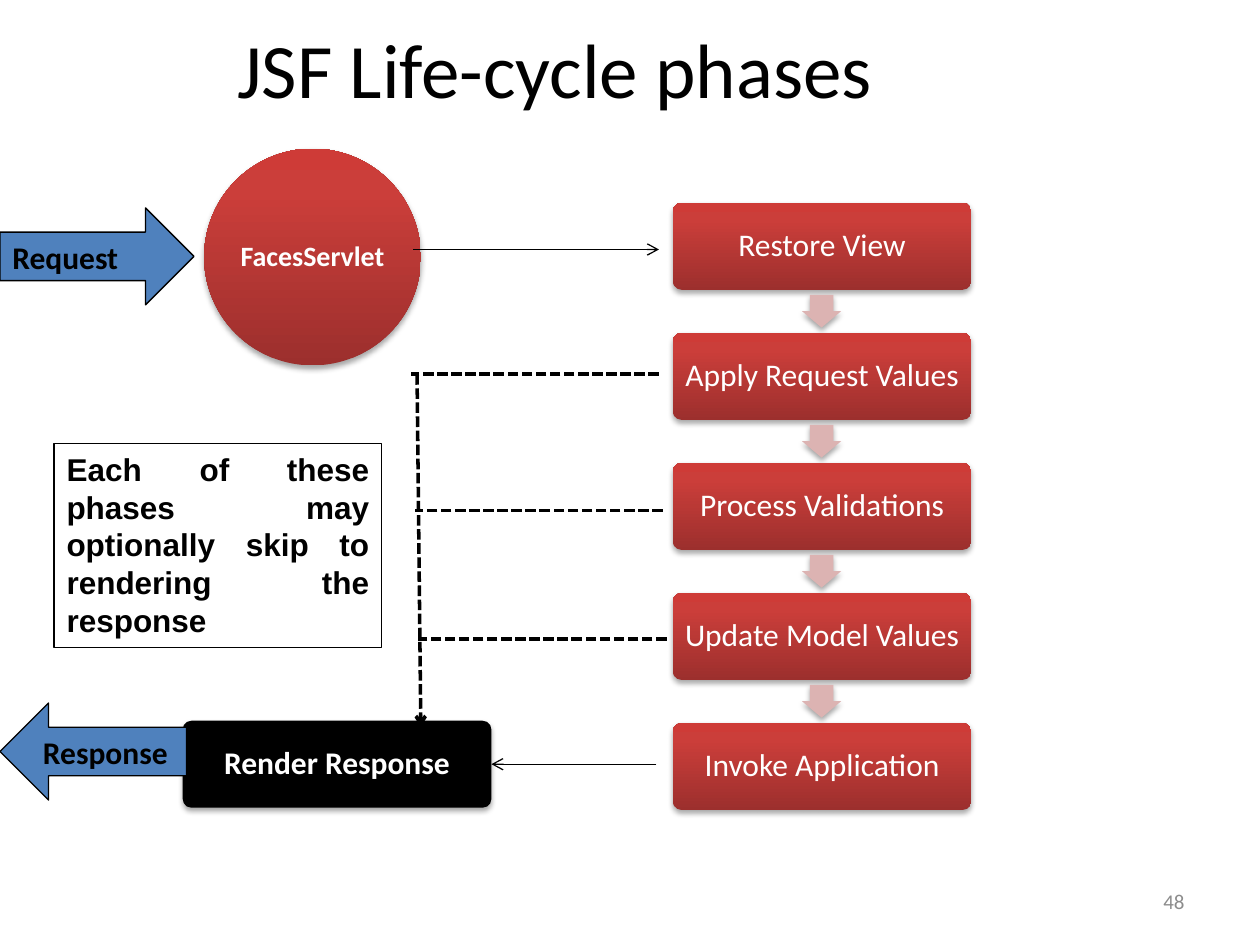
from copy import deepcopy
from lxml.etree import SubElement
from pptx import Presentation
from pptx.dml.color import RGBColor
from pptx.enum.dml import MSO_LINE
from pptx.enum.shapes import MSO_CONNECTOR, MSO_SHAPE
from pptx.enum.text import MSO_ANCHOR, PP_ALIGN
from pptx.oxml.ns import qn
from pptx.util import Inches, Pt

BLACK, WHITE, GRAY = "000000", "FFFFFF", "8C8C8C"
BLUE, PINK = "4F81BD", "DCB3B2"
RED_GRADIENT = ((0, "9C2F2D"), (0.8, "CB3E3A"), (1, "CE3B37"))
COLUMNS, ROWS = 100, 75


def rgb(value):
    return RGBColor.from_string(value)


class Diagram:
    font = "Calibri"
    thin, thick = 0.75, 2

    def __init__(self, deck):
        self.column = deck.slide_width / COLUMNS
        self.row = deck.slide_height / ROWS
        self.slide = deck.slides.add_slide(deck.slide_layouts[6])

    def place(self, left, top, width, height):
        return (round(left * self.column), round(top * self.row),
                round(width * self.column), round(height * self.row))

    def label(self, holder, words, size, color, bold=False, font=None,
              align=PP_ALIGN.CENTER, anchor=MSO_ANCHOR.MIDDLE,
              inset=None, spacing=None):
        frame = holder.text_frame
        frame.word_wrap = True
        frame.vertical_anchor = anchor
        if inset is not None:
            frame.margin_left = frame.margin_right = Inches(inset)
            frame.margin_top = frame.margin_bottom = Inches(inset)
        paragraph = frame.paragraphs[0]
        paragraph.alignment = align
        if spacing:
            paragraph.line_spacing = spacing
        run = paragraph.add_run()
        run.text = words
        run.font.name = font or self.font
        run.font.size = Pt(size)
        run.font.bold = bold
        run.font.color.rgb = rgb(color)

    def text(self, area, words, size, color, **style):
        holder = self.slide.shapes.add_textbox(*self.place(*area))
        self.label(holder, words, size, color, **style)

    def shape(self, kind, area, fill=None, outline=None, adjust=(), turn=0):
        shape = self.slide.shapes.add_shape(kind, *self.place(*area))
        shape.shadow.inherit = False
        shape.rotation = turn
        for index, value in enumerate(adjust):
            shape.adjustments[index] = value
        if fill is None:
            shape.fill.background()
        elif isinstance(fill, str):
            shape.fill.solid()
            shape.fill.fore_color.rgb = rgb(fill)
        else:
            self.shade(shape, fill)
        if outline:
            shape.line.color.rgb = rgb(outline)
            shape.line.width = Pt(self.thin)
        else:
            shape.line.fill.background()
        return shape

    def shade(self, shape, colors):
        shape.fill.gradient()
        shape.fill.gradient_angle = 90
        stops = shape._element.spPr.find(qn("a:gradFill")).find(qn("a:gsLst"))
        stops.append(deepcopy(stops[0]))
        for stop, (position, color) in zip(shape.fill.gradient_stops, colors):
            stop.position = position
            stop.color.rgb = rgb(color)

    def raised(self, kind, area, fill, **look):
        shape = self.shape(kind, area, fill, **look)
        effects = shape._element.spPr.find(qn("a:effectLst"))
        shadow = SubElement(effects, qn("a:outerShdw"), blurRad="40000",
                            dist="23000", dir="5400000", rotWithShape="0")
        tone = SubElement(shadow, qn("a:srgbClr"), val=BLACK)
        SubElement(tone, qn("a:alpha"), val="35000")
        return shape

    def node(self, kind, area, fill, words, size=18, bold=False, inset=0.06, adjust=(0.1,)):
        node = self.raised(kind, area, fill, adjust=adjust)
        self.label(node, words, size, WHITE, bold=bold, inset=inset, spacing=0.9)
        return node

    def line(self, start, end, dashed=False, arrow=False):
        ends = self.place(*start, *end)
        line = self.slide.shapes.add_connector(MSO_CONNECTOR.STRAIGHT, *ends)
        line.line.color.rgb = rgb(BLACK)
        line.line.width = Pt(self.thick if dashed else self.thin)
        if dashed:
            line.line.dash_style = MSO_LINE.SQUARE_DOT
        if arrow:
            SubElement(line._element.spPr.find(qn("a:ln")), qn("a:tailEnd"), type="arrow")
        SubElement(line._element.spPr, qn("a:effectLst"))
        return line


def main():
    deck = Presentation()
    deck.slide_width, deck.slide_height = Inches(10), Inches(7.5)
    diagram = Diagram(deck)

    diagram.text((3.3, 0.1, 81.5, 10.6), "JSF Life-cycle phases", 44, BLACK)
    diagram.text((71.7, 69.5, 23.3, 4), "48", 12, GRAY, align=PP_ALIGN.RIGHT)

    phases = ("Restore View", "Apply Request Values", "Process Validations",
              "Update Model Values", "Invoke Application")
    first_top, pitch = 16.1, 10.32
    for index, phase in enumerate(phases):
        top = first_top + index * pitch
        diagram.node(MSO_SHAPE.ROUNDED_RECTANGLE, (53.4, top, 23.7, 6.9), RED_GRADIENT, phase)
        if index < len(phases) - 1:
            diagram.raised(MSO_SHAPE.RIGHT_ARROW, (63.9, top + 7.05, 2.6, 3.1),
                           PINK, adjust=(0.6, 0.5), turn=90)

    diagram.node(MSO_SHAPE.OVAL, (16.2, 11.8, 17.2, 17.2), RED_GRADIENT,
                 "FacesServlet", size=16, bold=True, inset=0.02, adjust=())
    render = diagram.node(MSO_SHAPE.ROUNDED_RECTANGLE, (14.5, 57.2, 24.5, 6.9),
                          BLACK, "Render Response", bold=True)

    diagram.line((32.8, 19.8), (52.3, 19.8), arrow=True)
    diagram.line((52.1, 60.65), (39, 60.65), arrow=True).end_connect(render, 3)

    messages = (
        (MSO_SHAPE.RIGHT_ARROW, (0, 16.5, 15.4, 7.7), "Request", PP_ALIGN.LEFT),
        (MSO_SHAPE.LEFT_ARROW, (0, 55.8, 14.8, 7.7), "Response", PP_ALIGN.CENTER),
    )
    for kind, area, words, align in messages:
        message = diagram.shape(kind, area, BLUE, outline=BLACK)
        diagram.label(message, words, 18, BLACK, bold=True, align=align, anchor=MSO_ANCHOR.TOP)

    for left, height in ((32.6, 29.7), (32.9, 40.5), (33.2, 50.7)):
        diagram.line((left + 19.7, height), (left, height), dashed=True)
    diagram.line((33.1, 29.7), (33.4, 57.7), dashed=True, arrow=True)

    skip_note = diagram.shape(MSO_SHAPE.RECTANGLE, (4.3, 35.2, 26, 16.2), outline=BLACK)
    diagram.label(skip_note, "Each of these phases may optionally skip to rendering the response",
                  18, BLACK, bold=True, font="Arial", align=PP_ALIGN.JUSTIFY,
                  anchor=MSO_ANCHOR.TOP)

    deck.save("out.pptx")


if __name__ == "__main__":
    main()
